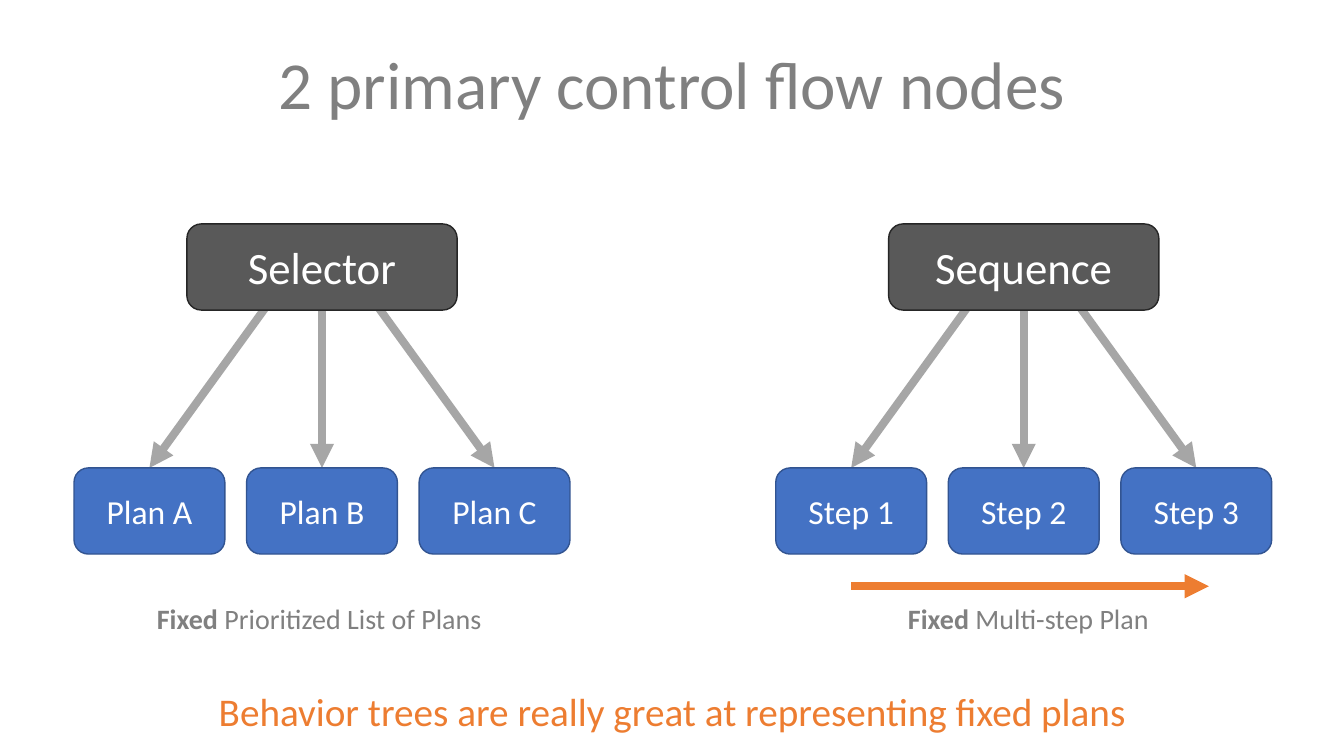
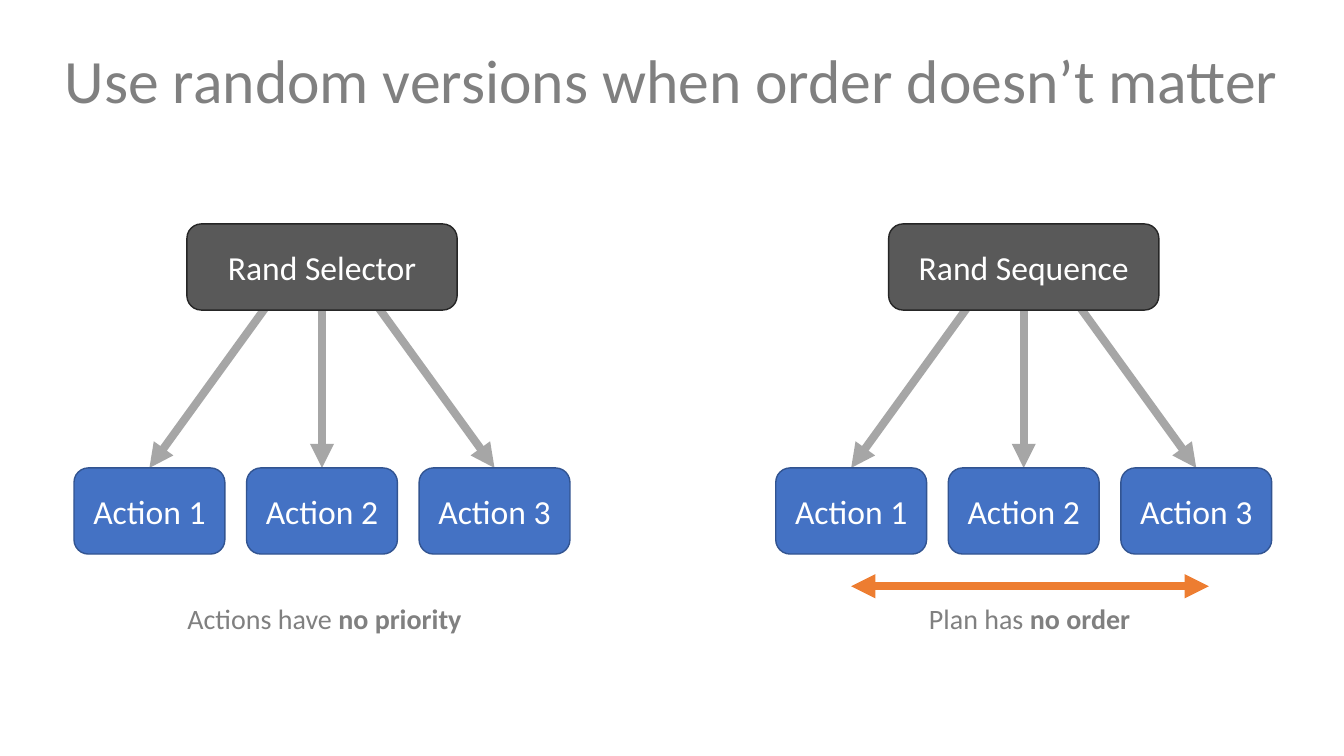
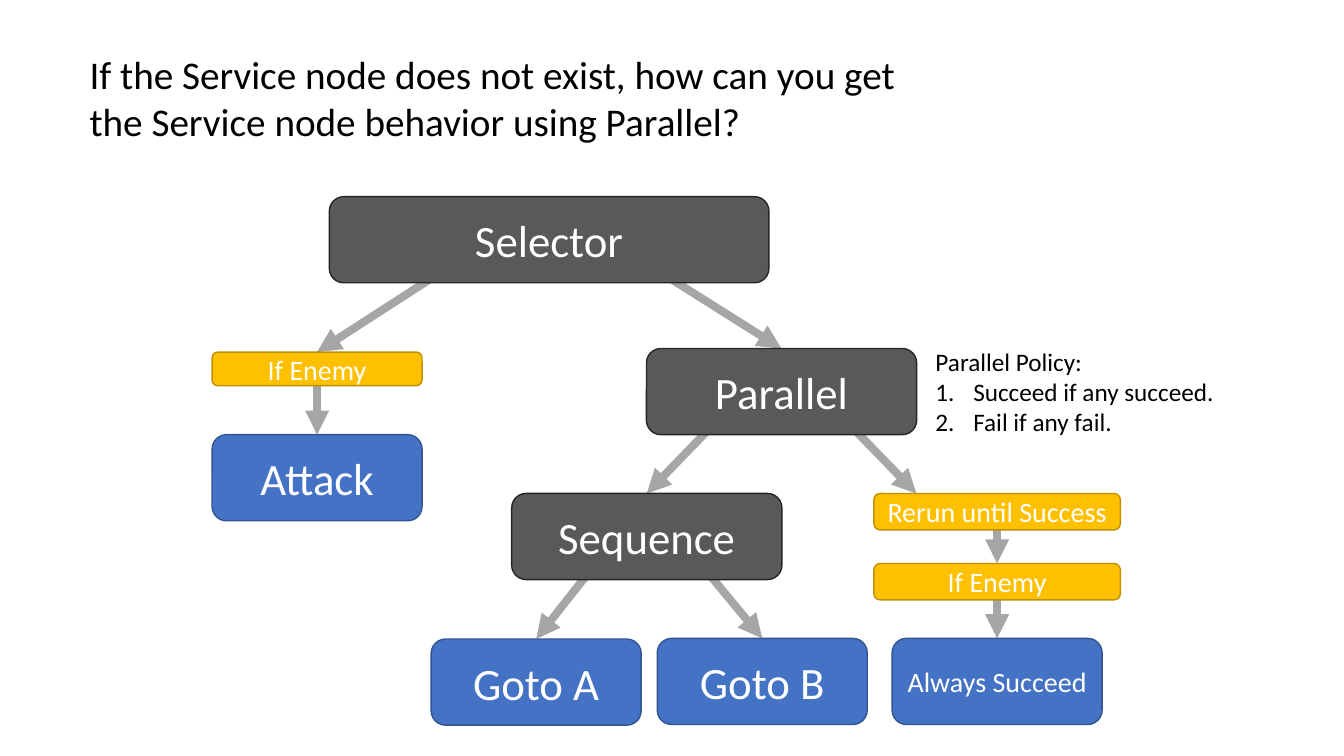
import dataclasses

import lxml.etree
import pptx
import pptx.dml.color
import pptx.enum.shapes
import pptx.enum.text
import pptx.oxml.ns
import pptx.util

Pt = pptx.util.Pt
RGBColor = pptx.dml.color.RGBColor
ALIGN = pptx.enum.text.PP_ALIGN
qn = pptx.oxml.ns.qn

WHITE = RGBColor(0xFF, 0xFF, 0xFF)
BLACK = RGBColor(0x00, 0x00, 0x00)
GRAY = RGBColor(0x80, 0x80, 0x80)
ARROW_GRAY = RGBColor(0xA6, 0xA6, 0xA6)
ORANGE = RGBColor(0xED, 0x7D, 0x31)

# Fill and outline of each kind of node
CONTROL = (RGBColor(0x59, 0x59, 0x59), RGBColor(0x26, 0x26, 0x26))
ACTION = (RGBColor(0x44, 0x72, 0xC4), RGBColor(0x32, 0x54, 0x91))
DECORATOR = (RGBColor(0xFF, 0xC0, 0x00), RGBColor(0xBF, 0x90, 0x00))

SLIDE_WIDTH, SLIDE_HEIGHT = 960, 540
TITLE_ONLY, TITLE_AND_BODY = 5, 1
HIDDEN_START = 4  # arrows begin this far below the top of their parent


@dataclasses.dataclass(frozen=True)
class Node:
    label: str
    centre: float
    top: float
    width: float = 150
    kind: tuple = ACTION
    size: float = 32
    height: float = 61.5


class TreeDeck:
    """Holds the deck style and the slide being drawn."""

    font_name = "Calibri"

    def __init__(self):
        self.deck = pptx.Presentation()
        self.deck.slide_width = Pt(SLIDE_WIDTH)
        self.deck.slide_height = Pt(SLIDE_HEIGHT)
        self.slide = None

    def add_slide(self, layout):
        self.slide = self.deck.slides.add_slide(self.deck.slide_layouts[layout])

    def style(self, para, size, color, align=ALIGN.LEFT):
        para.alignment = align
        para.space_before = Pt(0)
        para.font.name = self.font_name
        para.font.size = Pt(size)
        para.font.color.rgb = color

    def place(self, box, left, top, width, height, wrap=True):
        box.left, box.top = Pt(left), Pt(top)
        box.width, box.height = Pt(width), Pt(height)
        frame = box.text_frame
        frame.word_wrap = wrap
        frame.auto_size = pptx.enum.text.MSO_AUTO_SIZE.NONE
        frame.vertical_anchor = pptx.enum.text.MSO_ANCHOR.TOP
        return frame

    def title(self, text, size, color=GRAY, align=ALIGN.CENTER,
              bounds=(0, 26.5, SLIDE_WIDTH, 65)):
        frame = self.place(self.slide.shapes.title, *bounds)
        frame.text = text
        for para in frame.paragraphs:
            self.style(para, size, color, align)

    def numbered_list(self, heading, items, bounds, size):
        frame = self.place(self.slide.placeholders[1], *bounds)
        frame.text = "\n".join([heading, *items])
        for index, para in enumerate(frame.paragraphs):
            props = para._p.get_or_add_pPr()
            indent = Pt(27) if index else 0
            props.set("marL", str(indent))
            props.set("indent", str(-indent))
            if index:
                lxml.etree.SubElement(props, qn("a:buFont"), typeface="+mj-lt")
                lxml.etree.SubElement(props, qn("a:buAutoNum"), type="arabicPeriod")
            else:
                lxml.etree.SubElement(props, qn("a:buNone"))
            self.style(para, size, BLACK)

    def text(self, spans, bounds, size, color, align=ALIGN.LEFT, wrap=True):
        """Add one line made of (text, bold) spans."""
        box = self.slide.shapes.add_textbox(0, 0, 0, 0)
        para = self.place(box, *bounds, wrap=wrap).paragraphs[0]
        for words, bold in spans:
            span = para.add_run()
            span.text = words
            span.font.bold = bold
        self.style(para, size, color, align)

    def arrow(self, start, end, color=ARROW_GRAY, both_ends=False):
        line = self.slide.shapes.add_connector(
            pptx.enum.shapes.MSO_CONNECTOR.STRAIGHT,
            *(Pt(value) for value in (*start, *end)))
        line.line.color.rgb = color
        line.line.width = Pt(5.75)
        outline = line.line._get_or_add_ln()
        for end_name in ("a:headEnd", "a:tailEnd") if both_ends else ("a:tailEnd",):
            lxml.etree.SubElement(outline, qn(end_name), type="triangle")
        lxml.etree.SubElement(line._element.spPr, qn("a:effectLst"))

    def node(self, node):
        shape = self.slide.shapes.add_shape(
            pptx.enum.shapes.MSO_SHAPE.ROUNDED_RECTANGLE,
            Pt(node.centre - node.width / 2), Pt(node.top),
            Pt(node.width), Pt(node.height))
        fill, outline = node.kind
        shape.shadow.inherit = False
        shape.fill.solid()
        shape.fill.fore_color.rgb = fill
        shape.line.color.rgb = outline
        shape.line.width = Pt(1)
        shape.text_frame.text = node.label
        self.style(shape.text_frame.paragraphs[0], node.size, WHITE, ALIGN.CENTER)

    def tree(self, links, tips=None):
        """Draw arrows from parents to children, then the nodes over them."""
        tips = tips or {}
        nodes = []
        for parent, children in links:
            nodes += [node for node in (parent, *children) if node not in nodes]
            for child in children:
                self.arrow((parent.centre, parent.top + HIDDEN_START),
                           (tips.get(child, child.centre), child.top))
        for node in nodes:
            self.node(node)

    def fan(self, centre, root, root_size, leaves):
        """Draw a control node over a row of equally spaced actions."""
        middle = (len(leaves) - 1) / 2
        children = [Node(label, centre + (index - middle) * 123.25, 334.25,
                         width=107.75, size=24)
                    for index, label in enumerate(leaves)]
        parent = Node(root, centre, 160, 193, CONTROL, root_size)
        self.tree([(parent, children)])

    def comparison(self, title, title_size, root_size, fans, both_ends):
        """Add a slide with two captioned fans and an order arrow."""
        self.add_slide(TITLE_ONLY)
        self.title(title, title_size)
        for centre, (root, leaves, spans, left, width) in zip((230, 731.25), fans):
            self.fan(centre, root, root_size, leaves)
            self.text(spans, (left, 426.25, width, 31.5), 20, GRAY, wrap=False)
        self.arrow((608, 418.75), (863.5, 418.75), ORANGE, both_ends)


def main():
    show = TreeDeck()

    # Fixed control flow nodes
    show.comparison("2 primary control flow nodes", 48, 32, [
        ("Selector", ["Plan A", "Plan B", "Plan C"],
         [("Fixed", True), (" Prioritized List of Plans", False)], 105, 249),
        ("Sequence", ["Step 1", "Step 2", "Step 3"],
         [("Fixed", True), (" Multi-step Plan", False)], 641.5, 188.5),
    ], both_ends=False)
    show.text([("Behavior trees are really great at representing fixed plans", False)],
              (0, 487.5, SLIDE_WIDTH, 41), 28, ORANGE, ALIGN.CENTER)

    # Random control flow nodes
    actions = [f"Action {number}" for number in range(1, 4)]
    show.comparison("Use random versions when order doesn’t matter", 44, 24, [
        ("Rand Selector", actions,
         [("Actions have ", False), ("no priority", True)], 126.75, 212.5),
        ("Rand Sequence", actions,
         [("Plan has ", False), ("no order", True)], 656.5, 158.5),
    ], both_ends=True)

    # Parallel in place of a service node
    show.add_slide(TITLE_AND_BODY)
    show.title("If the Service node does not exist, how can you get\n"
               "the Service node behavior using Parallel?",
               28, BLACK, ALIGN.LEFT, (56.75, 32.5, 640, 75))
    show.numbered_list("Parallel Policy:",
                       ["Succeed if any succeed.", "Fail if any fail."],
                       (661, 243.5, 230, 73), 18)
    selector = Node("Selector", 392.25, 140.5, 314, CONTROL)
    enemy_check = Node("If Enemy", 226.5, 251.5, 150, DECORATOR, 20, 24)
    attack = Node("Attack", 226.5, 310.5)
    parallel = Node("Parallel", 558.25, 249, 193, CONTROL)
    sequence = Node("Sequence", 462, 352.5, 193, CONTROL)
    goto_a = Node("Goto A", 383, 456.5)
    goto_b = Node("Goto B", 544.5, 456)
    rerun = Node("Rerun until Success", 712.25, 352.5, 176, DECORATOR, 20, 26)
    enemy_recheck = Node("If Enemy", 712.25, 402.5, 176, DECORATOR, 20, 26)
    succeed = Node("Always Succeed", 712.25, 456, size=20)
    show.tree([
        (selector, [enemy_check, parallel]),
        (enemy_check, [attack]),
        (parallel, [sequence, rerun]),
        (sequence, [goto_a, goto_b]),
        (rerun, [enemy_recheck]),
        (enemy_recheck, [succeed]),
    ], tips={rerun: 654.5})

    show.deck.save("out.pptx")


if __name__ == "__main__":
    main()
